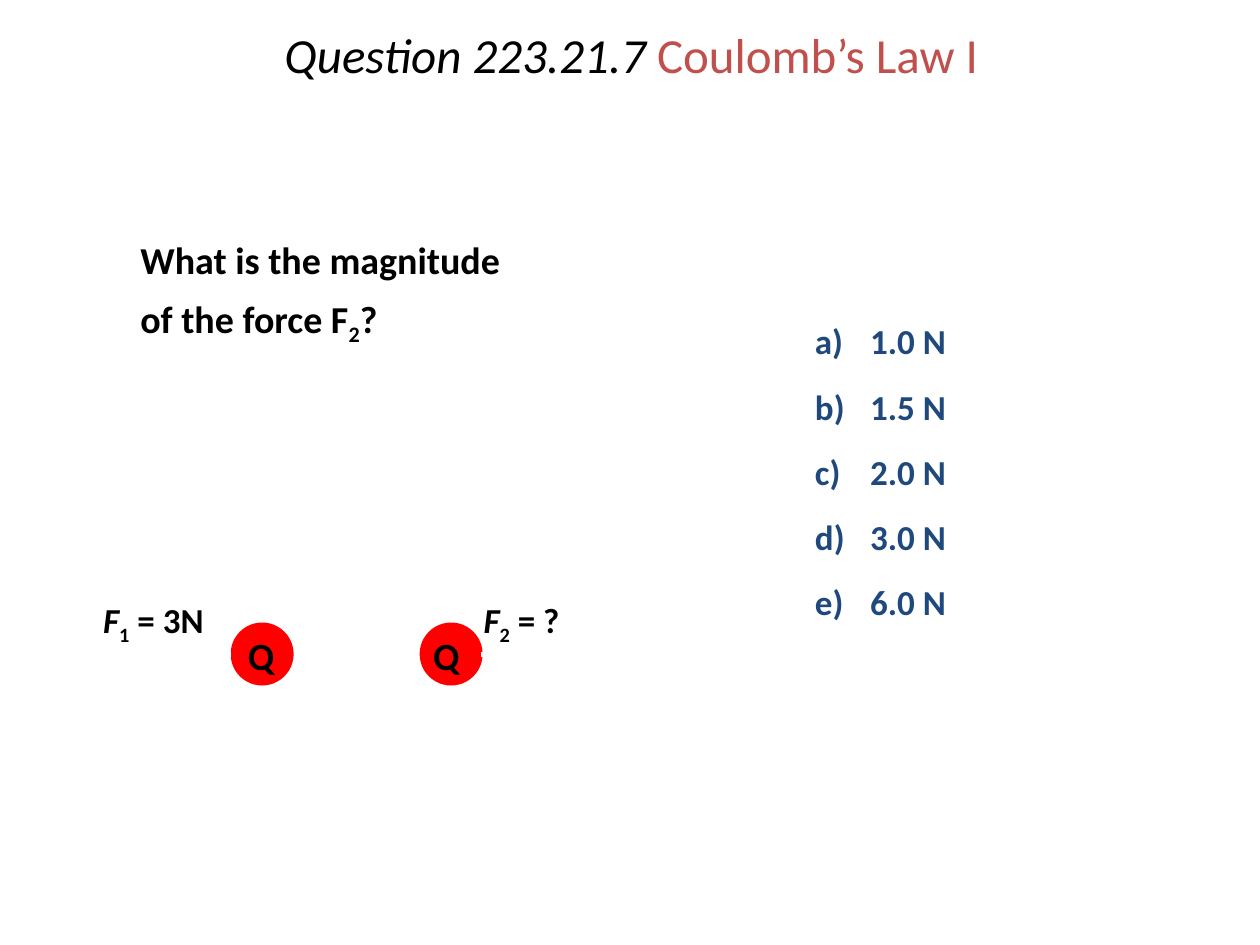
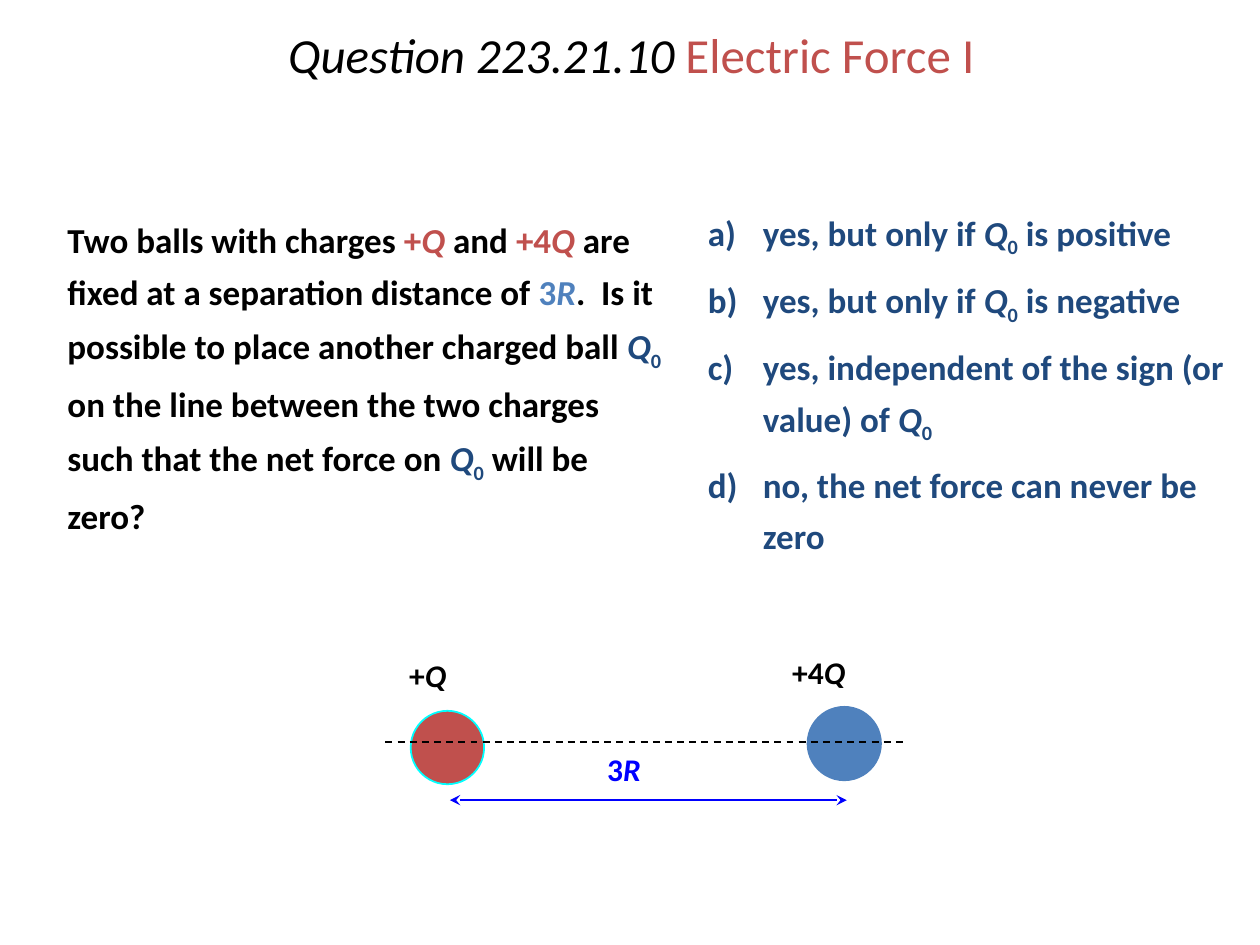
from lxml import etree
from pptx import Presentation
from pptx.dml.color import RGBColor
from pptx.enum import dml, shapes, text
from pptx.oxml import ns
from pptx.util import Cm, Pt

COLORS = {
    "black": "000000",
    "white": "FFFFFF",
    "red": "FF0000",
    "brick": "C0504D",
    "steel": "4F81BD",
    "navy": "1F497D",
    "blue": "0000FF",
    "cyan": "00FFFF",
}
FONT = "Calibri"
HANG = 1.11
TITLE_ONLY = 5


def color(name):
    return RGBColor.from_string(COLORS[name])


class QuizDeck:
    """Holds the deck's style and the slide being filled; lengths are in cm."""

    def __init__(self):
        self.deck = Presentation()
        self.deck.slide_width, self.deck.slide_height = Cm(25.4), Cm(19.05)
        self.page = None

    def add_spans(self, para, spans, size, ink="black", bold=True):
        """Fill a paragraph from (text, marks...): "i", "sub" or a colour."""
        for words, *marks in spans:
            span = para.add_run()
            span.text = words
            font = span.font
            font.name, font.size, font.bold = FONT, Pt(size), bold
            font.italic = "i" in marks
            font.color.rgb = color(
                next((mark for mark in marks if mark in COLORS), ink))
            if "sub" in marks:
                span._r.get_or_add_rPr().set("baseline", "-25000")

    def question(self, number, topic):
        """Start a slide with its two-tone title."""
        self.page = self.deck.slides.add_slide(
            self.deck.slide_layouts[TITLE_ONLY])
        box = self.page.shapes.title
        box.left, box.top = Cm(2.59), Cm(0)
        box.width, box.height = Cm(20.27), Cm(2.34)
        frame = box.text_frame
        frame.auto_size = text.MSO_AUTO_SIZE.NONE
        frame.vertical_anchor = text.MSO_ANCHOR.MIDDLE
        para = frame.paragraphs[0]
        para.alignment = text.PP_ALIGN.CENTER
        para.line_spacing = 0.9
        self.add_spans(para, [(f"Question {number} ", "i"), (topic, "brick")],
                       28, bold=False)

    def text_box(self, left, top, width, height, wrap=True):
        box = self.page.shapes.add_textbox(
            Cm(left), Cm(top), Cm(width), Cm(height))
        box.text_frame.word_wrap = wrap
        return box.text_frame

    def prompt(self, left, top, width, height, spans, size=20):
        para = self.text_box(left, top, width, height).paragraphs[0]
        para.line_spacing = 1.25
        para._p.get_or_add_pPr().set("marL", str(Cm(HANG)))
        self.add_spans(para, spans, size)

    def answers(self, left, top, width, choices, spacing):
        """List the choices, lettered from a) with a hanging indent."""
        frame = self.text_box(left, top, width, 6.71)
        for index, (letter, spans) in enumerate(zip("abcde", choices)):
            para = frame.add_paragraph() if index else frame.paragraphs[0]
            para.line_spacing = spacing
            para.space_before = Pt(6 if index else 0)
            layout = para._p.get_or_add_pPr()
            layout.set("marL", str(Cm(HANG)))
            layout.set("indent", str(-Cm(HANG)))
            self.add_spans(para, [(f"{letter})\t",), *spans], 20, "navy")

    def label(self, left, top, width, height, spans, size,
              ink="black", spacing=1.0):
        para = self.text_box(left, top, width, height, False).paragraphs[0]
        para.line_spacing = spacing
        self.add_spans(para, spans, size, ink)

    def ball(self, left, top, size, fill, outline=None):
        ball = self.page.shapes.add_shape(
            shapes.MSO_SHAPE.OVAL, Cm(left), Cm(top), Cm(size), Cm(size))
        ball.shadow.inherit = False
        ball.fill.solid()
        ball.fill.fore_color.rgb = color(fill)
        if outline:
            ball.line.color.rgb = color(outline)
            ball.line.width = Pt(1)
        else:
            ball.line.fill.background()

    def line(self, start, end, y, ink, width=1, dashed=False, **arrows):
        """Draw a level line; arrows maps headEnd or tailEnd to a type."""
        line = self.page.shapes.add_connector(
            shapes.MSO_CONNECTOR.STRAIGHT, Cm(start), Cm(y), Cm(end), Cm(y))
        line.line.color.rgb = color(ink)
        line.line.width = Pt(width)
        if dashed:
            line.line.dash_style = dml.MSO_LINE.DASH
        outline = line.line._get_or_add_ln()
        for tip in ("headEnd", "tailEnd"):
            if tip in arrows:
                etree.SubElement(outline, ns.qn(f"a:{tip}"), type=arrows[tip])
        etree.SubElement(line._element.spPr, ns.qn("a:effectLst"))


def coulombs_law(quiz):
    quiz.question("223.21.7", "Coulomb’s Law I")
    charges = [
        (4.65, 4.65, 2.34, 4.75, 1.83, "1", " = 3N"),
        (8.46, 9.7, 12.04, 8.48, 9.5, "2", " = ?"),
    ]
    for ball_x, start, tip, letter_x, force_x, index, value in charges:
        quiz.ball(ball_x, 12.55, 1.27, "red")
        quiz.line(start, tip, 13.19, "white", 3, tailEnd="triangle")
        quiz.label(letter_x, 12.61, 1.12, 1.19, [("Q",)], 22)
        quiz.label(force_x, 11.95, 2.6, 1.09,
                   [("F", "i"), (index, "sub"), (value,)], 20)
    forces = ["1.0 N", "1.5 N", "2.0 N", "3.0 N", "6.0 N"]
    quiz.answers(16.18, 6.07, 5.79, [[(force,)] for force in forces], 1.3)
    quiz.prompt(1.47, 4.42, 9.5, 3.05, [
        ("What is the magnitude of the force F",), ("2", "sub"), ("?",)], 21.7)


def electric_force(quiz):
    quiz.question("223.21.10", "Electric Force I")
    test_charge = [("Q", "i", "navy"), ("0", "sub", "navy")]
    quiz.prompt(0, 4.06, 13.61, 6.71, [
        ("Two balls with charges ",),
        ("+", "brick"), ("Q", "i", "brick"),
        (" and ",),
        ("+4", "brick"), ("Q", "i", "brick"),
        (" are fixed at a separation distance of ",),
        ("3", "steel"), ("R", "i", "steel"),
        (".  Is it possible to place another charged ball ",),
        *test_charge,
        (" on the line between the two charges such that the net force on ",),
        *test_charge,
        (" will be zero?",),
    ])
    quiz.answers(14.02, 3.94, 11.38, [
        [("yes, but only if ",), *test_charge, (" is positive",)],
        [("yes, but only if ",), *test_charge, (" is negative",)],
        [("yes, independent of the sign (or value) of ",), *test_charge],
        [("no, the net force can never be zero",)],
    ], 1.2)

    quiz.ball(16.28, 14.25, 1.48, "steel", "steel")
    quiz.ball(8.28, 14.33, 1.48, "brick", "cyan")
    labels = [
        (11.99, 15.09, 1.32, "3", "R", "blue"),
        (8, 13.18, 1.37, "+", "Q", "black"),
        (15.72, 13.13, 1.73, "+4", "Q", "black"),
    ]
    for left, top, width, factor, symbol, ink in labels:
        quiz.label(left, top, width, 0.94, [(factor,), (symbol, "i")],
                   18, ink, 0.9)
    quiz.line(7.77, 18.26, 14.96, "black", dashed=True)
    quiz.line(9.07, 17.07, 16.13, "blue",
              headEnd="stealth", tailEnd="stealth")


def main():
    quiz = QuizDeck()
    coulombs_law(quiz)
    electric_force(quiz)
    quiz.deck.save("out.pptx")


if __name__ == "__main__":
    main()
